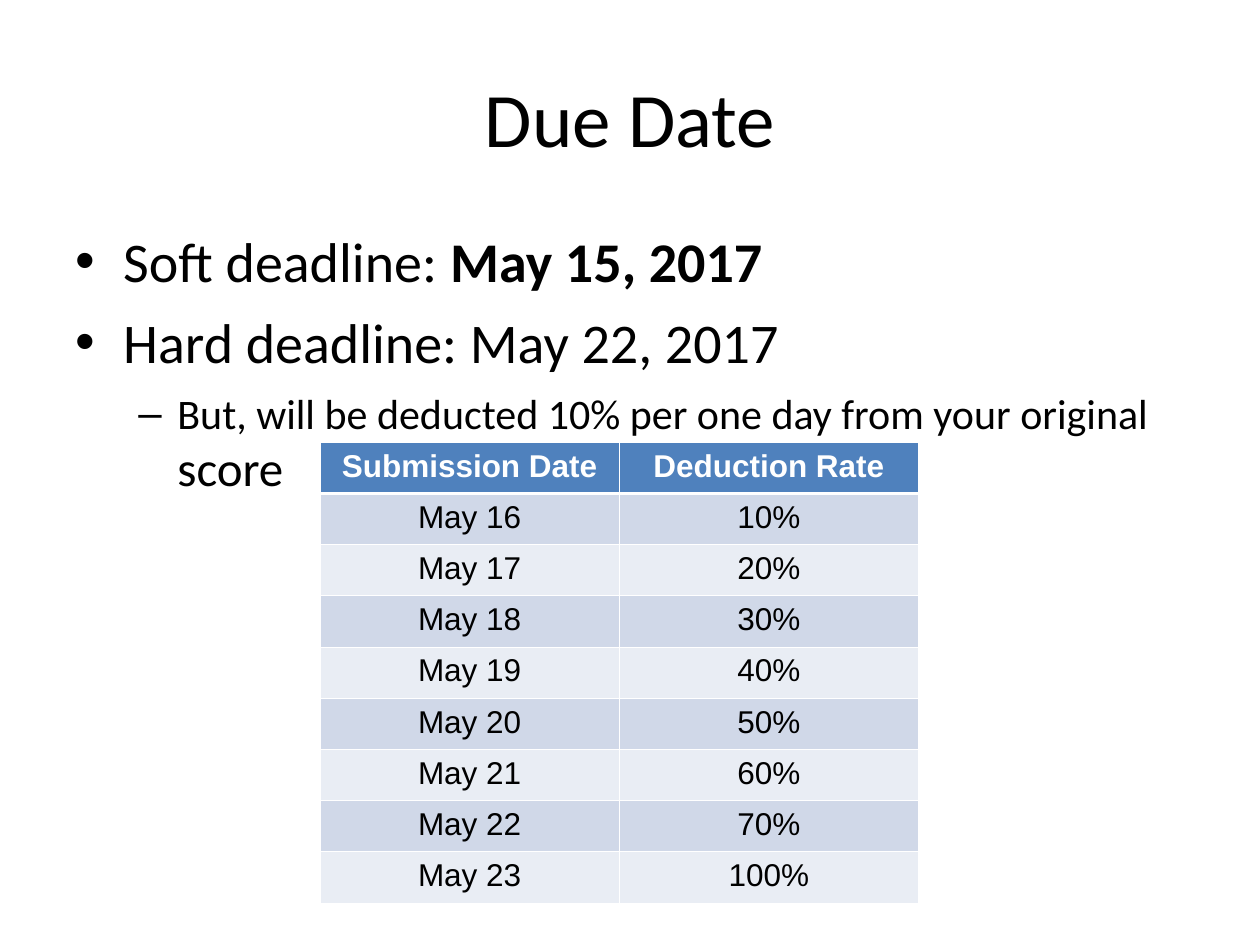
from lxml.etree import SubElement
from pptx import Presentation
from pptx.dml.color import RGBColor
from pptx.enum.text import MSO_ANCHOR, PP_ALIGN
from pptx.oxml.ns import qn
from pptx.util import Inches, Pt

# Content
TITLE = "Due Date"
# Each point: level, then spans of (text, size, bold)
POINTS = [
    (0, [("Soft deadline: ", 32, False), ("May 15, 2017", 32, True)]),
    (0, [("Hard deadline: May 22, 2017", 32, False)]),
    (1, [("But, will be deducted 10% per one day from your original ", 24, False),
         ("score", 28, False)]),
]
DEDUCTIONS = [
    ("Submission Date", "Deduction Rate"),
    ("May 16", "10%"),
    ("May 17", "20%"),
    ("May 18", "30%"),
    ("May 19", "40%"),
    ("May 20", "50%"),
    ("May 21", "60%"),
    ("May 22", "70%"),
    ("May 23", "100%"),
]

# Style
BLACK = RGBColor(0x00, 0x00, 0x00)
WHITE = RGBColor(0xFF, 0xFF, 0xFF)
HEADER_BLUE = RGBColor(0x4F, 0x81, 0xBD)
BANDS = [RGBColor(0xE9, 0xED, 0xF4), RGBColor(0xD0, 0xD8, 0xE8)]
# Per level: bullet, left margin, hanging indent (inches), space before (points)
LEVELS = [("•", 0.38, 0.38, 8), ("–", 0.81, 0.31, 7)]
THIN, THICK = 0.45, 1.47

# Layout
WIDTH, HEIGHT = 10, 7.5
MARGIN = WIDTH * 0.05
TABLE_LEFT, TABLE_TOP, TABLE_WIDTH, TABLE_HEIGHT = 2.54, 3.51, 4.75, 3.66


def style_span(span, size, font, color, bold=False):
    span.font.size = Pt(size)
    span.font.name = font
    span.font.color.rgb = color
    span.font.bold = bold


def add_box(page, top, height, anchor):
    box = page.shapes.add_textbox(Inches(MARGIN), Inches(top),
                                  Inches(WIDTH - 2 * MARGIN), Inches(height))
    box.text_frame.word_wrap = True
    box.text_frame.vertical_anchor = anchor
    return box.text_frame


def set_bullet(para, level):
    mark, margin, hanging, space = LEVELS[level]
    para.level = level
    para.space_before = Pt(space)
    properties = para._p.get_or_add_pPr()
    properties.set("marL", str(Inches(margin)))
    properties.set("indent", str(-Inches(hanging)))
    SubElement(properties, qn("a:buFont"), typeface="Arial")
    SubElement(properties, qn("a:buChar"), char=mark)


def set_borders(cell, top, bottom):
    properties = cell._tc.get_or_add_tcPr()
    sides = [("lnL", THIN), ("lnR", THIN), ("lnT", top), ("lnB", bottom)]
    for side, width in sides:
        line = SubElement(properties, qn(f"a:{side}"), w=str(Pt(width)))
        fill = SubElement(line, qn("a:solidFill"))
        SubElement(fill, qn("a:srgbClr"), val=str(WHITE))


def add_deductions(page):
    columns = len(DEDUCTIONS[0])
    frame = page.shapes.add_table(
        len(DEDUCTIONS), columns, Inches(TABLE_LEFT), Inches(TABLE_TOP),
        Inches(TABLE_WIDTH), Inches(TABLE_HEIGHT))
    for r, values in enumerate(DEDUCTIONS):
        header = r == 0
        for c, value in enumerate(values):
            cell = frame.table.cell(r, c)
            # Borders come before the fill in the cell's properties
            set_borders(cell, THICK if r == 1 else THIN, THICK if header else THIN)
            cell.fill.solid()
            cell.fill.fore_color.rgb = HEADER_BLUE if header else BANDS[r % 2]
            para = cell.text_frame.paragraphs[0]
            para.text = value
            para.alignment = PP_ALIGN.CENTER
            style_span(para.runs[0], 18, "Arial", WHITE if header else BLACK, header)


def main():
    deck = Presentation()
    deck.slide_width, deck.slide_height = Inches(WIDTH), Inches(HEIGHT)
    page = deck.slides.add_slide(deck.slide_layouts[6])

    # Title
    title = add_box(page, HEIGHT * 0.04, 1.25, MSO_ANCHOR.MIDDLE)
    title.text = TITLE
    title.paragraphs[0].alignment = PP_ALIGN.CENTER
    style_span(title.paragraphs[0].runs[0], 44, "Calibri", BLACK)

    # Deadlines
    body = add_box(page, 1.75, HEIGHT * 0.66, MSO_ANCHOR.TOP)
    for i, (level, spans) in enumerate(POINTS):
        para = body.add_paragraph() if i else body.paragraphs[0]
        set_bullet(para, level)
        for text, size, bold in spans:
            span = para.add_run()
            span.text = text
            style_span(span, size, "Calibri", BLACK, bold)

    # Deduction table
    add_deductions(page)
    deck.save("out.pptx")


if __name__ == "__main__":
    main()
